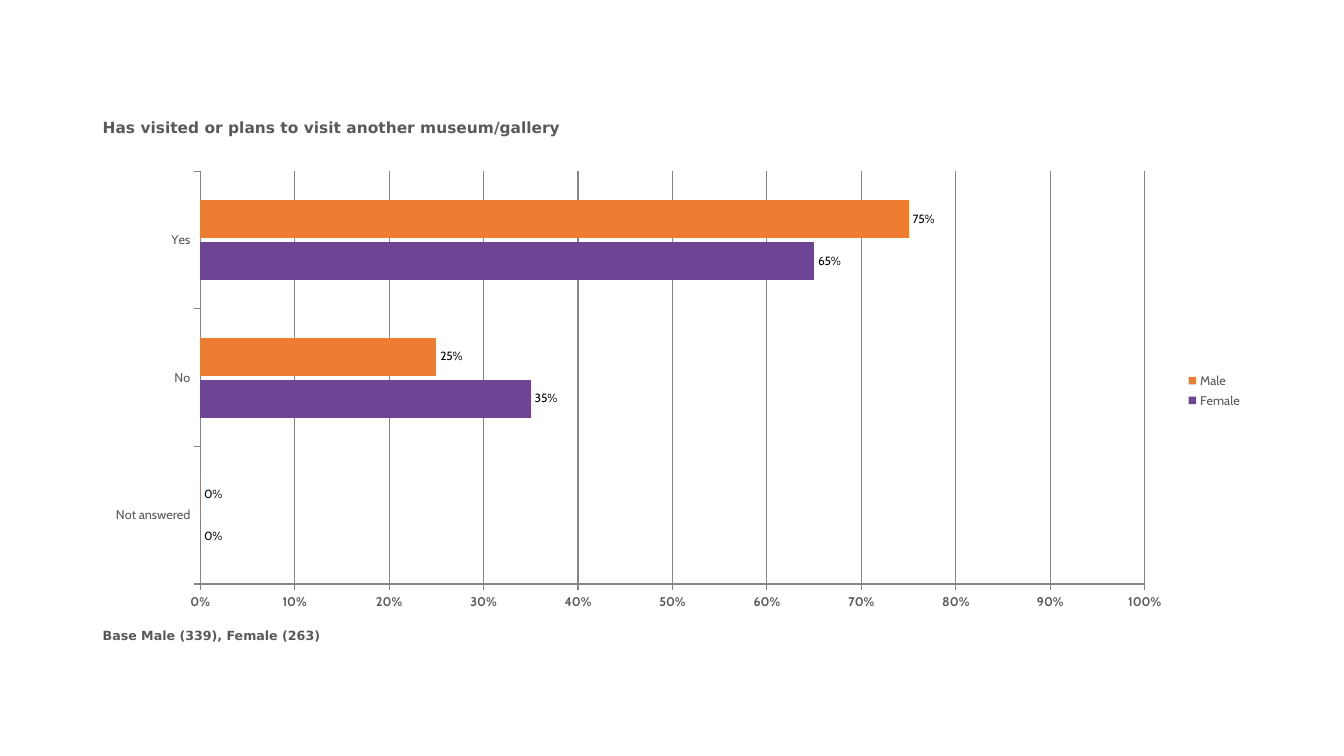
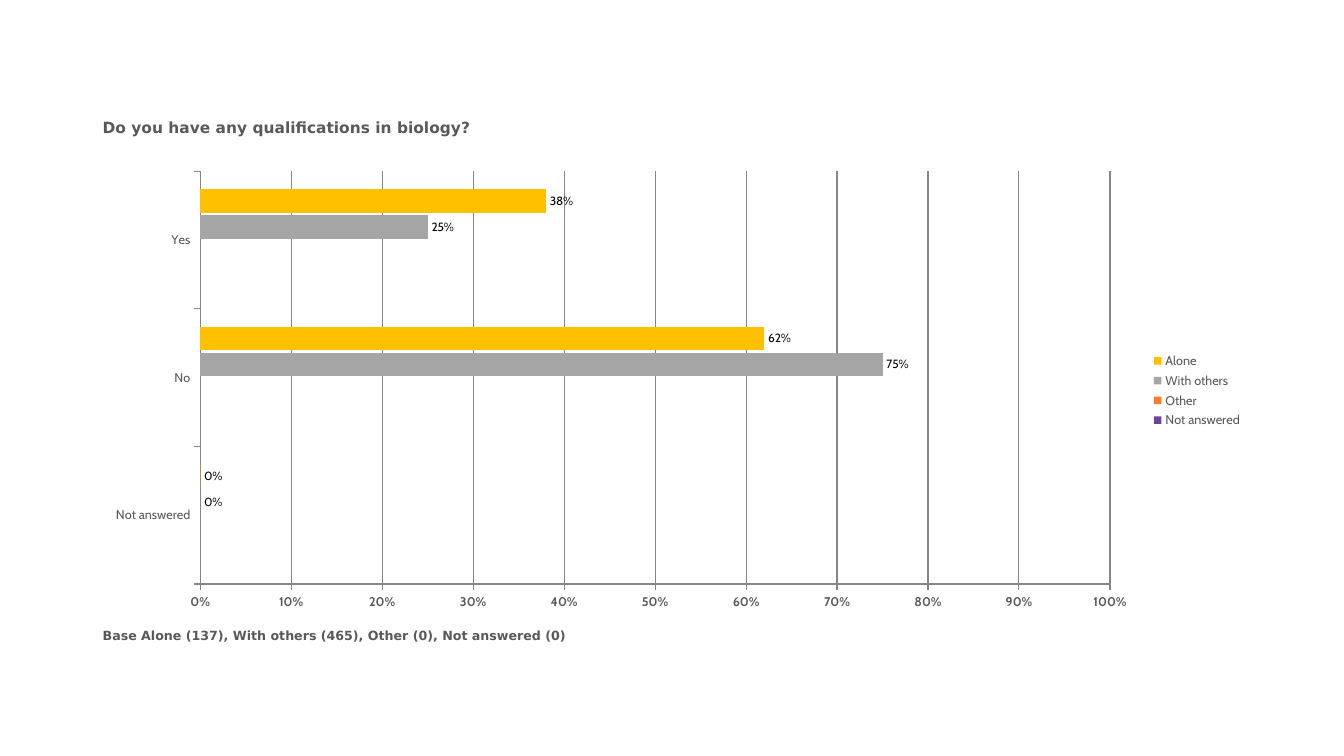
from pptx import Presentation
from pptx.chart.data import CategoryChartData
from pptx.dml.color import RGBColor
from pptx.enum.chart import (XL_CHART_TYPE, XL_LABEL_POSITION, XL_LEGEND_POSITION,
                             XL_TICK_LABEL_POSITION, XL_TICK_MARK)
from pptx.util import Inches, Pt

HUES = {"text": "595959", "label": "000000", "line": "868686", "purple": "6E4595",
        "orange": "ED7D31", "grey": "A5A5A5", "gold": "FFC000"}
LEFT, WIDE = Inches(0.92), Inches(11.5)
CATS = ["Not answered", "No", "Yes"]
NONE = [None] * 3
PAGES = [
    ("Has visited or plans to visit another museum/gallery",
     "Base Male (339), Female (263)",
     [("Female", [0, 0.35, 0.65], "purple"),
      ("Male", [0, 0.25, 0.75], "orange")]),
    ("Do you have any qualifications in biology?",
     "Base Alone (137), With others (465), Other (0), Not answered (0)",
     [("Not answered", NONE, "purple"),
      ("Other", NONE, "orange"),
      ("With others", [0, 0.75, 0.25], "grey"),
      ("Alone", [0, 0.62, 0.38], "gold")]),
]


def style(font, name, size, hue, bold=False):
    font.name = name
    font.size = Pt(size)
    font.bold = bold
    font.color.rgb = RGBColor.from_string(HUES[hue])


def add_text(slide, text, top, high, size):
    box = slide.shapes.add_textbox(LEFT, Inches(top), WIDE, Inches(high))
    frame = box.text_frame
    frame.word_wrap = True
    frame.text = text
    style(frame.paragraphs[0].runs[0].font, "DejaVu Sans", size, "text", True)


deck = Presentation()
deck.slide_width = Inches(13.33)
deck.slide_height = Inches(7.5)

for title, base, rows in PAGES:
    slide = deck.slides.add_slide(deck.slide_layouts[6])
    add_text(slide, title, 1.12, 0.51, 11)
    add_text(slide, base, 6.18, 0.43, 9)

    data = CategoryChartData(number_format="0%")
    data.categories = CATS
    for name, vals, hue in rows:
        data.add_series(name, vals)
    chart = slide.shapes.add_chart(XL_CHART_TYPE.BAR_CLUSTERED, LEFT, Inches(1.61),
                                   WIDE, Inches(4.53), data).chart
    chart.has_title = False
    style(chart.font, "Calibri", 18, "label")

    chart.has_legend = True
    chart.legend.position = XL_LEGEND_POSITION.RIGHT
    chart.legend.include_in_layout = False
    style(chart.legend.font, "Cabin", 9, "text")

    scale = chart.value_axis
    scale.minimum_scale = 0
    scale.maximum_scale = 1
    scale.major_unit = 0.1
    scale.has_major_gridlines = True
    scale.tick_labels.number_format = "0%"
    scale.tick_labels.number_format_is_linked = False
    for axis in (chart.category_axis, scale):
        axis.tick_label_position = XL_TICK_LABEL_POSITION.LOW
        axis.major_tick_mark = XL_TICK_MARK.OUTSIDE
        axis.minor_tick_mark = XL_TICK_MARK.NONE
        style(axis.tick_labels.font, "Cabin", 9, "text", axis is scale)
    for part in (chart.category_axis, scale, scale.major_gridlines):
        part.format.line.width = Pt(0.75)
        part.format.line.color.rgb = RGBColor.from_string(HUES["line"])

    plot = chart.plots[0]
    plot.vary_by_categories = False
    plot.gap_width = 150
    plot.overlap = -10
    for bars, (name, vals, hue) in zip(plot.series, rows):
        bars.invert_if_negative = False
        bars.format.fill.solid()
        bars.format.fill.fore_color.rgb = RGBColor.from_string(HUES[hue])
        tags = bars.data_labels
        tags.show_value = True
        tags.position = XL_LABEL_POSITION.OUTSIDE_END
        tags.number_format = "0%"
        tags.number_format_is_linked = False
        style(tags.font, "Cabin", 8.5, "label")

deck.save("out.pptx")
